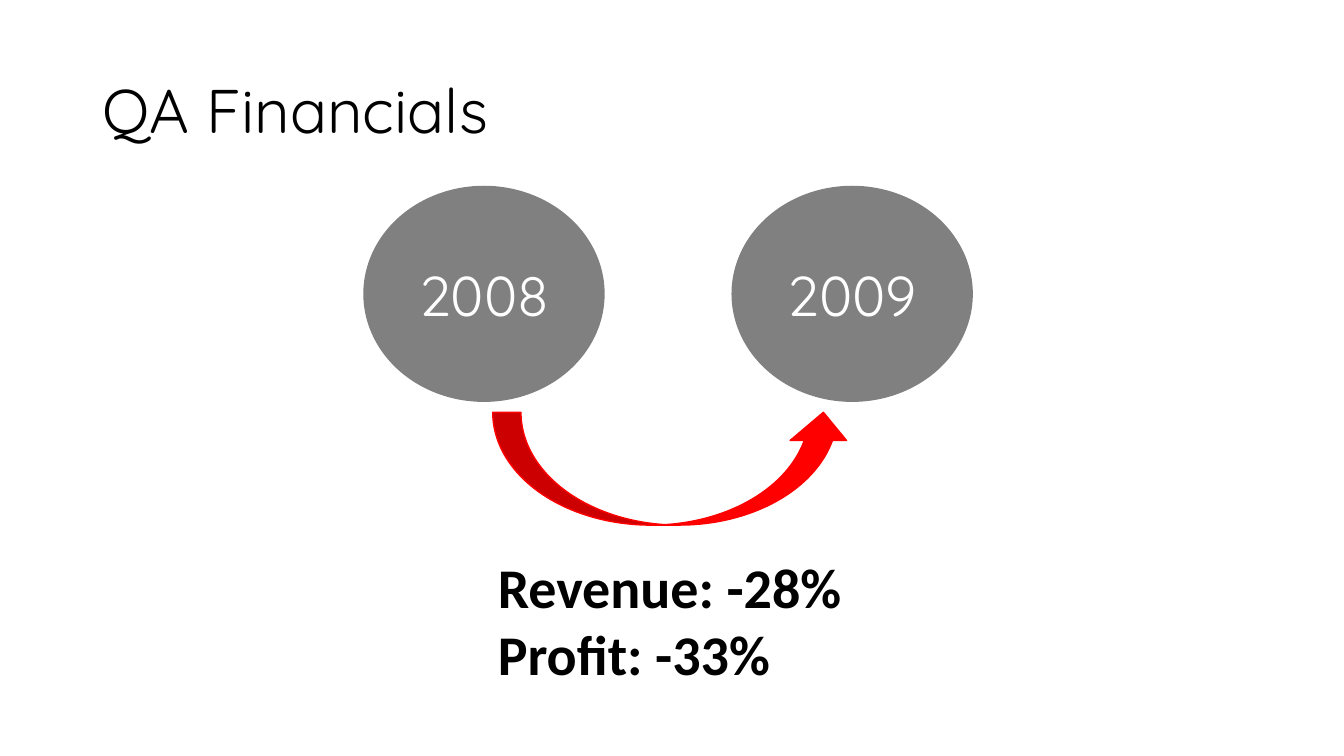
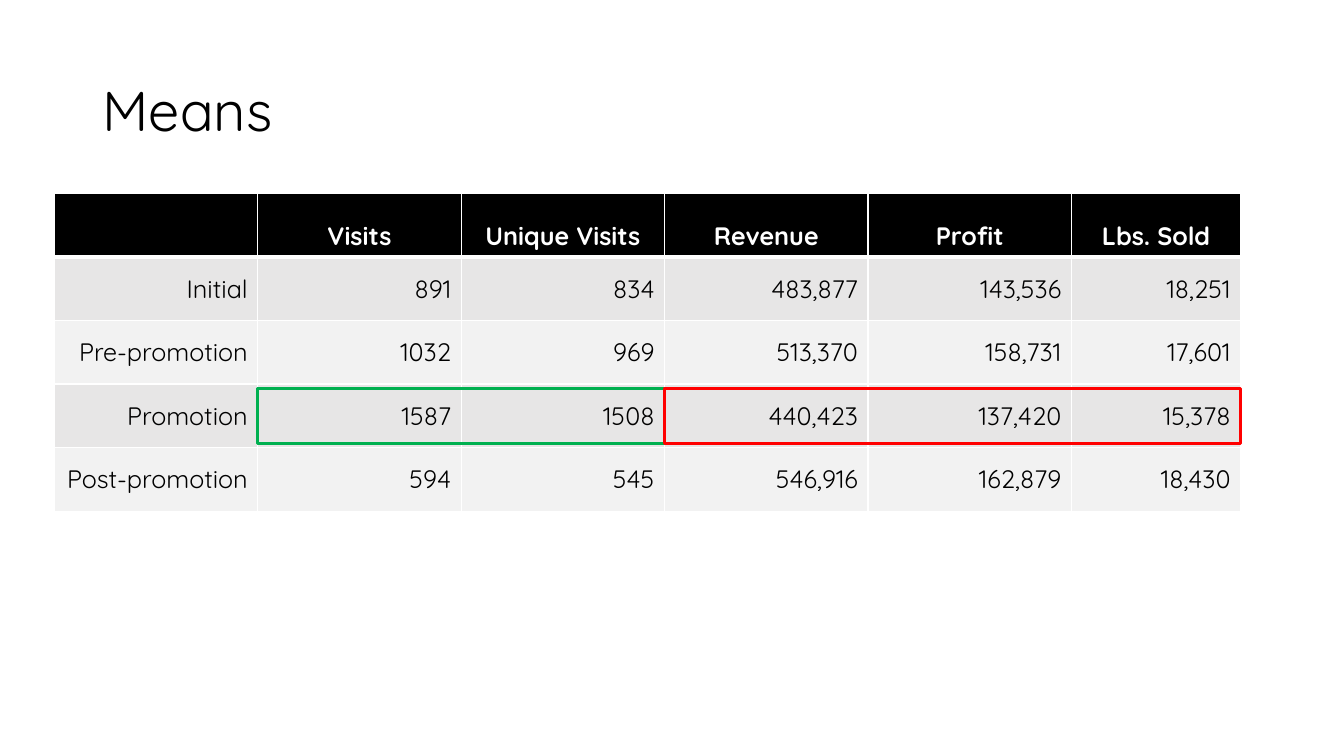
from lxml import etree
from pptx import Presentation
from pptx.dml.color import RGBColor
from pptx.enum.shapes import MSO_SHAPE
from pptx.enum.text import MSO_ANCHOR, MSO_AUTO_SIZE, PP_ALIGN
from pptx.oxml.ns import qn
from pptx.util import Pt

ELLIPSE, CURVED_ARROW, RECTANGLE = MSO_SHAPE.OVAL, MSO_SHAPE.CURVED_UP_ARROW, MSO_SHAPE.RECTANGLE
LEFT, CENTER, RIGHT = PP_ALIGN.LEFT, PP_ALIGN.CENTER, PP_ALIGN.RIGHT
MIDDLE, BOTTOM = MSO_ANCHOR.MIDDLE, MSO_ANCHOR.BOTTOM
NO_AUTOFIT = MSO_AUTO_SIZE.NONE

BLACK = RGBColor(0x00, 0x00, 0x00)
WHITE = RGBColor(0xFF, 0xFF, 0xFF)
GRAY = RGBColor(0x80, 0x80, 0x80)
RED = RGBColor(0xFF, 0x00, 0x00)
GREEN = RGBColor(0x00, 0xB0, 0x50)
BAND_FILLS = (RGBColor(0xE7, 0xE6, 0xE6), RGBColor(0xF2, 0xF2, 0xF2))

HEADING_FONT, CHANGE_FONT = "Quicksand", "Calibri"
TITLE_BOX = (66, 28.8, 828, 104.4)

YEARS = ("2008", "2009")
CHANGES = ("Revenue: -28%", "Profit: -33%")
YEAR_LEFT, YEAR_TOP, YEAR_WIDTH, YEAR_HEIGHT, YEAR_STEP = 260, 133.2, 171.4, 153.4, 263
ARROW_BOX = (352, 294.5, 256.3, 80.6)
CHANGES_BOX = (348.5, 391, 265.7, 104.4)

MEANS = (
    ("", "Visits", "Unique Visits", "Revenue", "Profit", "Lbs. Sold"),
    ("Initial", "891", "834", "483,877", "143,536", "18,251"),
    ("Pre-promotion", "1032", "969", "513,370", "158,731", "17,601"),
    ("Promotion", "1587", "1508", "440,423", "137,420", "15,378"),
    ("Post-promotion", "594", "545", "546,916", "162,879", "18,430"),
)
TABLE_LEFT, TABLE_TOP, ROW_HEIGHT = 38.9, 138.2, 45.4
COLUMN_WIDTHS = (145.3,) * 5 + (120.9,)
HIGHLIGHT_ROW, HIGHLIGHT_INSET = 3, 2.9
HIGHLIGHTS = ((1, 3, GREEN), (3, 6, RED))  # first column, end column, colour


def in_points(box):
    return [Pt(length) for length in box]


def write(frame, lines, align, **font_format):
    """Put one paragraph per line into a text frame, all in one format."""
    frame.text = "\n".join(lines)
    for paragraph in frame.paragraphs:
        paragraph.alignment = align
        color = font_format["color"]
        for name, value in font_format.items():
            if name != "color":
                setattr(paragraph.font, name, value)
        paragraph.font.color.rgb = color


def add_titled_slide(deck, title, size):
    slide = deck.slides.add_slide(deck.slide_layouts[5])
    heading = slide.shapes.title
    heading.left, heading.top, heading.width, heading.height = in_points(TITLE_BOX)
    frame = heading.text_frame
    frame.auto_size, frame.vertical_anchor, frame.word_wrap = NO_AUTOFIT, MIDDLE, True
    write(frame, [title], LEFT, name=HEADING_FONT, size=Pt(size), color=BLACK)
    frame.paragraphs[0].line_spacing = 0.9
    return slide


def add_flat_shape(slide, kind, box, line_color, line_width=1, fill=None):
    shape = slide.shapes.add_shape(kind, *in_points(box))
    shape.shadow.inherit = False
    if fill is None:
        shape.fill.background()
    else:
        shape.fill.solid()
        shape.fill.fore_color.rgb = fill
    shape.line.color.rgb = line_color
    shape.line.width = Pt(line_width)
    return shape


def set_borders(cell, top, bottom):
    """Draw white cell borders; top and bottom are widths in points."""
    properties = cell._tc.get_or_add_tcPr()
    widths = {"a:lnL": 1, "a:lnR": 1, "a:lnT": top, "a:lnB": bottom}
    for position, (tag, width) in enumerate(widths.items()):
        border = etree.Element(qn(tag), w=str(Pt(width)))
        fill = etree.SubElement(border, qn("a:solidFill"))
        etree.SubElement(fill, qn("a:srgbClr"), val=str(WHITE))
        properties.insert(position, border)


def build_financials(deck):
    slide = add_titled_slide(deck, "QA Financials", 44)
    for index, year in enumerate(YEARS):
        box = (YEAR_LEFT + index * YEAR_STEP, YEAR_TOP, YEAR_WIDTH, YEAR_HEIGHT)
        circle = add_flat_shape(slide, ELLIPSE, box, GRAY, fill=GRAY)
        circle.text_frame.vertical_anchor = MIDDLE
        write(circle.text_frame, [year], CENTER, name=HEADING_FONT, size=Pt(40), color=WHITE)
    add_flat_shape(slide, CURVED_ARROW, ARROW_BOX, RED, fill=RED)
    changes = slide.shapes.add_textbox(*in_points(CHANGES_BOX)).text_frame
    changes.word_wrap = True
    write(changes, CHANGES, LEFT, name=CHANGE_FONT, size=Pt(40), bold=True, color=BLACK)


def build_means(deck):
    slide = add_titled_slide(deck, "Means", 40)
    table_box = (TABLE_LEFT, TABLE_TOP, sum(COLUMN_WIDTHS), ROW_HEIGHT * len(MEANS))
    table = slide.shapes.add_table(len(MEANS), len(COLUMN_WIDTHS), *in_points(table_box)).table
    for column, width in zip(table.columns, COLUMN_WIDTHS):
        column.width = Pt(width)
    for r, values in enumerate(MEANS):
        table.rows[r].height = Pt(ROW_HEIGHT)
        header = r == 0
        for c, value in enumerate(values):
            cell = table.cell(r, c)
            cell.fill.solid()
            cell.fill.fore_color.rgb = BLACK if header else BAND_FILLS[(r - 1) % 2]
            cell.vertical_anchor = BOTTOM if header else MIDDLE
            write(cell.text_frame, [value], CENTER if header else RIGHT, name=HEADING_FONT,
                  size=Pt(18), bold=header, color=WHITE if header else BLACK)
            set_borders(cell, top=3 if r == 1 else 1, bottom=3 if header else 1)

    top = TABLE_TOP + HIGHLIGHT_ROW * ROW_HEIGHT + HIGHLIGHT_INSET
    height = ROW_HEIGHT - 2 * HIGHLIGHT_INSET
    for first, end, color in HIGHLIGHTS:
        left = TABLE_LEFT + sum(COLUMN_WIDTHS[:first])
        box = (left, top, sum(COLUMN_WIDTHS[first:end]), height)
        add_flat_shape(slide, RECTANGLE, box, color, line_width=2.25)


def main():
    deck = Presentation()
    deck.slide_width, deck.slide_height = Pt(960), Pt(540)
    build_financials(deck)
    build_means(deck)
    deck.save("out.pptx")


if __name__ == "__main__":
    main()
